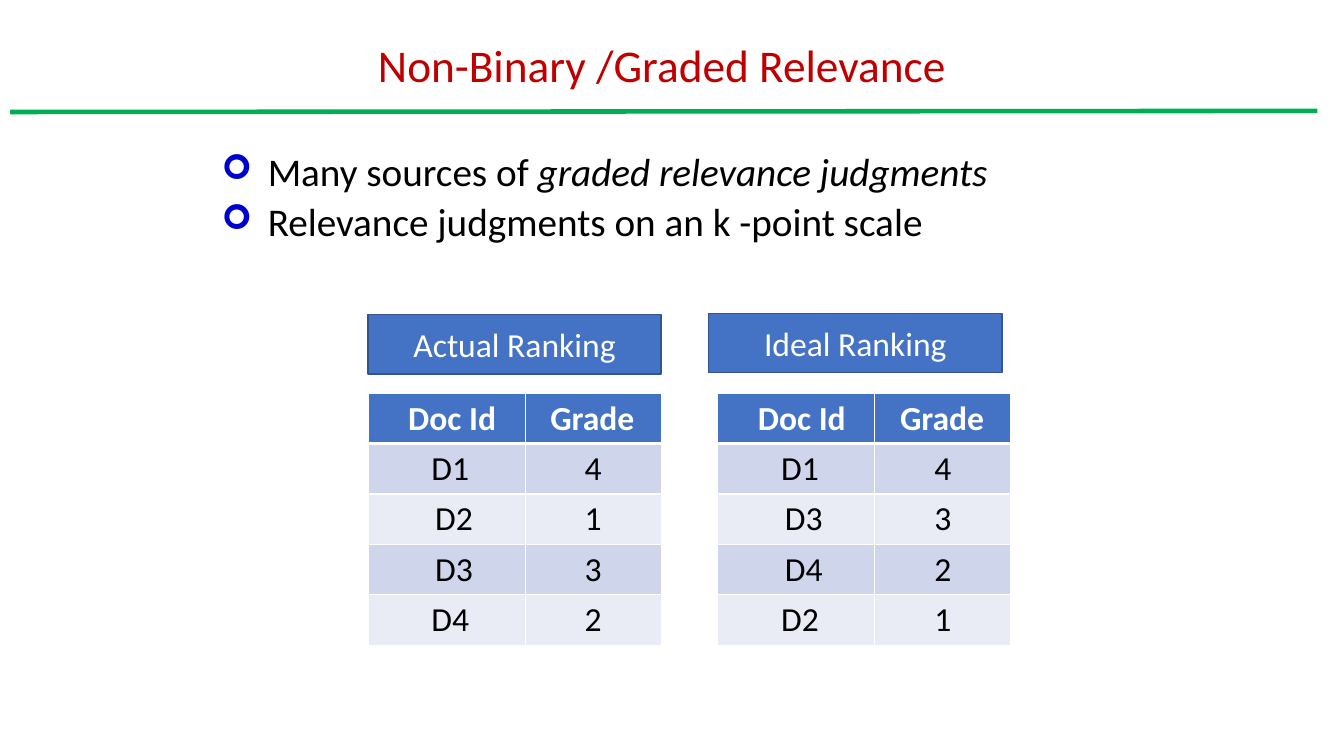
from pptx import Presentation
from pptx.util import Pt
from pptx.dml.color import RGBColor
from pptx.enum.shapes import MSO_SHAPE as Shape, MSO_CONNECTOR as Line
from pptx.enum.text import PP_ALIGN as Align, MSO_ANCHOR as Anchor, MSO_AUTO_SIZE as Fit
from pptx.oxml.ns import qn
from lxml.etree import SubElement

TITLE = "Non-Binary /Graded Relevance"
# Each point: space before, then runs of (text, italic)
POINTS = [
    (10, [("Many sources of ", False), ("graded relevance judgments", True)]),
    (5, [("Relevance judgments on an k -point scale", False)]),
]
HEAD = ("Doc Id", "Grade")
# Label, label left and top, table left, rows
RANKS = [
    ("Actual Ranking", 262.8, 224.8, 262.8,
     [("D1", 4), ("D2", 1), ("D3", 3), ("D4", 2)]),
    ("Ideal Ranking", 506.2, 223.8, 512.6,
     [("D1", 4), ("D3", 3), ("D4", 2), ("D2", 1)]),
]
COLORS = {
    "title": "C00000", "text": "000000", "white": "FFFFFF", "bullet": "0000CC",
    "blue": "4472C4", "edge": "325491", "rule": "00B050",
    "dark": "CFD5EA", "light": "E9EBF5",
}
FONT = "Calibri"
COLS = (112.3, 97.2)
WIDTH, ROW, TOP = sum(COLS), 36, 280.8
PAD, SPACE = 7.2, 5.4
HANG = 33


def color(name):
    return RGBColor.from_string(COLORS[name])


def add_run(para, text, size, tone, bold=False, italic=False):
    run = para.add_run()
    run.text = text
    font = run.font
    font.name, font.size = FONT, Pt(size)
    font.bold, font.italic = bold, italic
    font.color.rgb = color(tone)


def add_bullet(para):
    props = para._p.get_or_add_pPr()
    props.set("marL", str(Pt(HANG)))
    props.set("indent", str(-Pt(HANG)))
    tint = SubElement(props, qn("a:buClr"))
    SubElement(tint, qn("a:srgbClr"), val=COLORS["bullet"])
    SubElement(props, qn("a:buSzPct"), val="88000")
    SubElement(props, qn("a:buFont"), typeface="Wingdings")
    SubElement(props, qn("a:buChar"), char="➢")


def add_edges(cell, base):
    """Draw white borders; base is the width of the lower one."""
    props = cell._tc.get_or_add_tcPr()
    for side, width in (("L", 1), ("R", 1), ("T", 1), ("B", base)):
        edge = SubElement(props, qn("a:ln" + side), w=str(Pt(width)))
        fill = SubElement(edge, qn("a:solidFill"))
        SubElement(fill, qn("a:srgbClr"), val=COLORS["white"])


def add_label(slide, text, left, top):
    box = slide.shapes.add_shape(
        Shape.RECTANGLE, Pt(left), Pt(top), Pt(WIDTH), Pt(42.5))
    box.shadow.inherit = False
    box.fill.solid()
    box.fill.fore_color.rgb = color("blue")
    box.line.color.rgb = color("edge")
    box.line.width = Pt(1)
    box.text_frame.vertical_anchor = Anchor.MIDDLE
    para = box.text_frame.paragraphs[0]
    para.alignment = Align.CENTER
    add_run(para, text, 24, "white")


def add_grid(slide, left, rows):
    data = [HEAD] + rows
    grid = slide.shapes.add_table(
        len(data), len(COLS), Pt(left), Pt(TOP), Pt(WIDTH), Pt(ROW * len(data))).table
    for col, width in zip(grid.columns, COLS):
        col.width = Pt(width)
    for r, row in enumerate(data):
        grid.rows[r].height = Pt(ROW)
        head = r == 0
        outer = r in (1, len(data) - 1)
        for c, value in enumerate(row):
            cell = grid.cell(r, c)
            if head:
                shift = (4, 2)[c]
            else:
                shift = 0 if c else (1 if outer else 2)
            cell.margin_left = Pt(PAD + shift * SPACE)
            add_edges(cell, 3 if head else 1)
            cell.fill.solid()
            cell.fill.fore_color.rgb = color(
                "blue" if head else "dark" if r % 2 else "light")
            para = cell.text_frame.paragraphs[0]
            para.alignment = Align.LEFT if head else Align.CENTER
            add_run(para, str(value), 24, "white" if head else "text", bold=head)


def add_title(slide):
    title = slide.shapes.title
    title.left, title.top, title.width, title.height = map(Pt, (262.8, 20.9, 452.9, 54.7))
    frame = title.text_frame
    frame.auto_size = Fit.NONE
    frame.vertical_anchor = Anchor.MIDDLE
    para = frame.paragraphs[0]
    para.alignment = Align.LEFT
    para.line_spacing = 0.9
    add_run(para, TITLE, 32.4, "title")


def add_points(slide):
    frame = slide.shapes.add_textbox(Pt(151.2), Pt(105.8), Pt(606.2), Pt(93.6)).text_frame
    frame.word_wrap = True
    for i, (gap, runs) in enumerate(POINTS):
        para = frame.add_paragraph() if i else frame.paragraphs[0]
        para.line_spacing = 0.9
        para.space_before = Pt(gap)
        add_bullet(para)
        for text, slant in runs:
            add_run(para, text, 28, "text", italic=slant)


def add_rule(slide):
    rule = slide.shapes.add_connector(
        Line.STRAIGHT, Pt(7.2), Pt(80), Pt(941), Pt(79.2))
    rule.line.color.rgb = color("rule")
    rule.line.width = Pt(3.25)
    SubElement(rule._element.spPr, qn("a:effectLst"))


def main():
    deck = Presentation()
    deck.slide_width, deck.slide_height = Pt(960), Pt(540)
    slide = deck.slides.add_slide(deck.slide_layouts[5])
    add_title(slide)
    add_points(slide)
    for label, left, top, start, rows in RANKS:
        add_grid(slide, start, rows)
        add_label(slide, label, left, top)
    add_rule(slide)
    deck.save("out.pptx")


if __name__ == "__main__":
    main()
